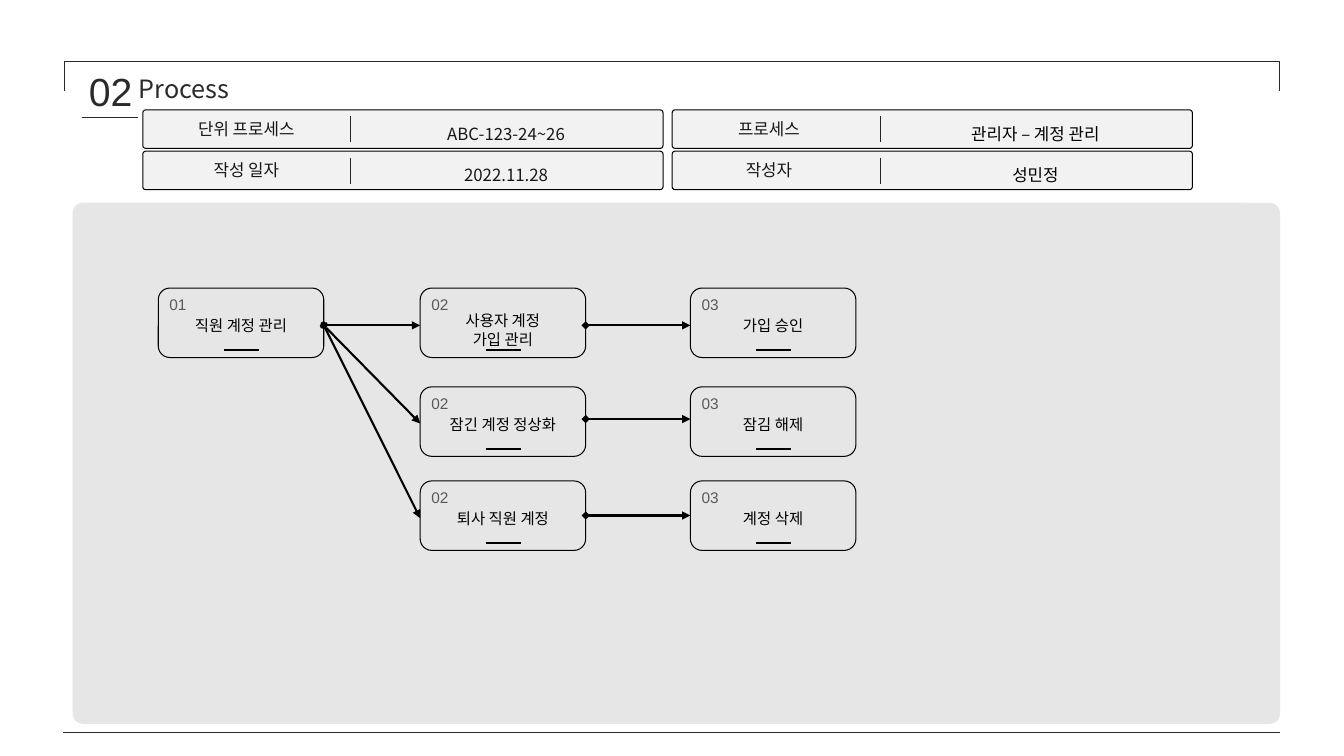
"""Builds the account management process slide with its header cards and flow."""
from dataclasses import dataclass

from lxml import etree
from pptx import Presentation, util as u
from pptx.dml import color
from pptx.enum import shapes, text
from pptx.oxml import ns

KOREAN = "Noto Sans CJK KR"
INK, BLACK, GREY = "2A2A2A", "000000", "595959"
CARD_WIDTH, CARD_HEIGHT = 13.11, 0.97
CARD_ROWS = (2.77, 3.81)
STEP_WIDTH, STEP_HEIGHT = 4.17, 1.75
STEP_COLUMNS = (3.99, 10.59, 17.4)
STEP_ROWS = (7.26, 9.75, 12.12)
LINK_ROWS = (8.2, 10.56, 12.99)
FAN_ENDS = (8.2, 10.67, 13.06)


@dataclass
class Card:
    left: float
    row: int
    label_offset: float
    label: str
    value: str
    value_color: str


@dataclass
class Step:
    column: int
    row: int
    lines: tuple[str, ...]


CARDS = (
    Card(3.6, 1, 0.5, "작성 일자", "2022.11.28", "181717"),
    Card(3.6, 0, 0.5, "단위 프로세스", "ABC-123-24~26", "181717"),
    Card(16.94, 1, 0.33, "작성자", "성민정", BLACK),
    Card(16.94, 0, 0.33, "프로세스", "관리자 – 계정 관리", BLACK),
)
STEPS = (
    Step(0, 0, ("직원 계정 관리",)),
    Step(1, 0, ("사용자 계정", "가입 관리")),
    Step(1, 1, ("잠긴 계정 정상화",)),
    Step(1, 2, ("퇴사 직원 계정",)),
    Step(2, 0, ("가입 승인",)),
    Step(2, 1, ("잠김 해제",)),
    Step(2, 2, ("계정 삭제",)),
)


def rgb(value: str) -> color.RGBColor:
    return color.RGBColor.from_string(value)


def write(shape, lines: tuple[str, ...], size: float, ink: str, font: str = "Arial",
          centred: bool = False, spacing: float = 1.0,
          insets: tuple[float, ...] = (0.25, 0.13, 0.25, 0.13)) -> None:
    frame = shape.text_frame
    frame.word_wrap = True
    frame.auto_size = text.MSO_AUTO_SIZE.NONE
    frame.vertical_anchor = text.MSO_ANCHOR.TOP
    (frame.margin_left, frame.margin_top,
     frame.margin_right, frame.margin_bottom) = map(u.Cm, insets)
    for index, line in enumerate(lines):
        para = frame.add_paragraph() if index else frame.paragraphs[0]
        para.alignment = text.PP_ALIGN.CENTER if centred else text.PP_ALIGN.LEFT
        para.line_spacing = spacing
        span = para.add_run()
        span.text = line
        span.font.size = u.Pt(size)
        span.font.name = font
        span.font.color.rgb = rgb(ink)
        etree.SubElement(span.font._element, ns.qn("a:ea"), typeface=KOREAN)


def add_text(page, left: float, top: float, width: float, height: float,
             lines: tuple[str, ...], size: float, ink: str, **style) -> None:
    box = page.shapes.add_textbox(*map(u.Cm, (left, top, width, height)))
    write(box, lines, size, ink, **style)


def add_box(page, kind, left: float, top: float, width: float, height: float,
            fill: str = "", line: str = "", corner: float = 0.1667):
    box = page.shapes.add_shape(kind, *map(u.Cm, (left, top, width, height)))
    box.shadow.inherit = False
    box.adjustments[0] = corner
    if fill:
        box.fill.solid()
        box.fill.fore_color.rgb = rgb(fill)
    else:
        box.fill.background()
    if line:
        box.line.color.rgb = rgb(line)
        box.line.width = u.Pt(0.75)
    else:
        box.line.fill.background()
    return box


def add_line(page, start: tuple[float, float], end: tuple[float, float],
             ink: str, weight: float, arrow: bool = False) -> None:
    line = page.shapes.add_connector(
        shapes.MSO_CONNECTOR.STRAIGHT, *map(u.Cm, start + end))
    line.line.color.rgb = rgb(ink)
    line.line.width = u.Pt(weight)
    properties = line._element.spPr
    if arrow:
        outline = properties.find(ns.qn("a:ln"))
        etree.SubElement(outline, ns.qn("a:headEnd"), type="diamond")
        etree.SubElement(outline, ns.qn("a:tailEnd"), type="triangle")
    etree.SubElement(properties, ns.qn("a:effectLst"))


def add_frame(page) -> None:
    add_box(page, shapes.MSO_SHAPE.ROUNDED_RECTANGLE, 1.83, 5.11, 30.43, 13.13,
            fill="E7E6E6", corner=0.02)
    bracket = add_box(page, shapes.MSO_SHAPE.RIGHT_BRACKET, 16.56, -13.39, 0.76, 30.63,
                      line=INK, corner=0)
    bracket.rotation = 270
    add_line(page, (1.6, 18.47), (32.26, 18.47), INK, 0.75)


def add_heading(page) -> None:
    title = page.shapes.title
    title.left, title.top, title.width, title.height = map(u.Cm, (3.4, 1.8, 3.2, 0.86))
    write(title, ("Process",), 18, INK, font=KOREAN, insets=(0.1, 0.05, 0.3, 0.05))
    add_text(page, 2.24, 1.7, 1.24, 1.2, ("02",), 28, INK, insets=(0, 0, 0, 0))
    add_line(page, (2.06, 2.97), (3.48, 2.97), INK, 0.75)


def add_card(page, card: Card) -> None:
    top, divider = CARD_ROWS[card.row], card.left + 5.24
    add_box(page, shapes.MSO_SHAPE.ROUNDED_RECTANGLE, card.left, top,
            CARD_WIDTH, CARD_HEIGHT, fill="F2F2F2", line=BLACK, corner=0.075)
    add_text(page, card.left + card.label_offset, top + 0.02, 4.22, 0.84, (card.label,),
             12, "181717", font=KOREAN, centred=True, spacing=1.14)
    add_line(page, (divider, top + 0.16), (divider, top + 0.82), "242424", 0.75)
    add_text(page, card.left + 5.56, top + 0.06, 7.19, 0.91, (card.value,),
             12, card.value_color, font=KOREAN, centred=True, spacing=1.3)


def add_step(page, step: Step) -> None:
    left, top = STEP_COLUMNS[step.column], STEP_ROWS[step.row]
    extra = len(step.lines) - 1
    add_box(page, shapes.MSO_SHAPE.ROUNDED_RECTANGLE, left, top,
            STEP_WIDTH, STEP_HEIGHT, line=BLACK)
    add_text(page, left + 0.03, top + 0.04, 1.55, 0.74, (f"{step.column + 1:02}",), 11, GREY)
    add_line(page, (left + 1.65, top + 1.57), (left + 2.53, top + 1.57), BLACK, 1.5)
    add_text(page, left, top + 0.58 - 0.12 * extra, STEP_WIDTH, 0.74 + 0.45 * extra,
             step.lines, 11, BLACK, centred=True)


def add_links(page) -> None:
    first, second = (left + STEP_WIDTH for left in STEP_COLUMNS[:2])
    for fan_end, link_row in zip(FAN_ENDS, LINK_ROWS):
        add_line(page, (first, LINK_ROWS[0]), (STEP_COLUMNS[1], fan_end), BLACK, 1.5, True)
        add_line(page, (second, link_row), (STEP_COLUMNS[2], link_row), BLACK, 1.5, True)


def main() -> None:
    deck = Presentation()
    deck.slide_width, deck.slide_height = u.Cm(33.87), u.Cm(19.05)
    page = deck.slides.add_slide(deck.slide_layouts[5])
    add_frame(page)
    add_heading(page)
    for card in CARDS:
        add_card(page, card)
    for step in STEPS:
        add_step(page, step)
    add_links(page)
    deck.save("out.pptx")


if __name__ == "__main__":
    main()
